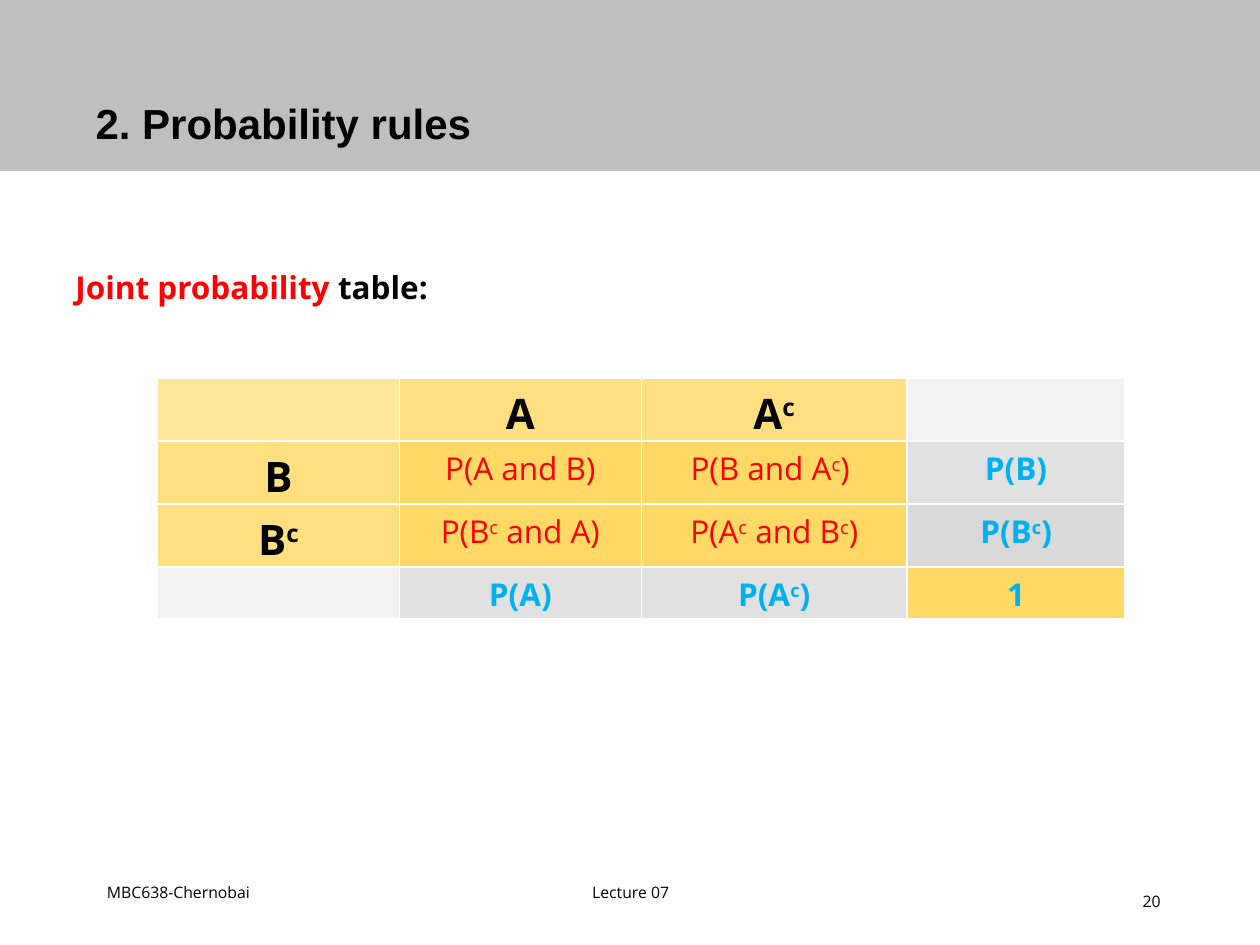
from pptx import Presentation
from pptx.dml.color import RGBColor
from pptx.enum.shapes import MSO_SHAPE
from pptx.enum.text import MSO_ANCHOR, PP_ALIGN
from pptx.oxml.ns import qn
from pptx.util import Inches, Pt
from lxml import etree

COLORS = {
    "black": "000000", "red": "FF0000", "blue": "00B0F0", "band": "BFBFBF",
    "corner": "FFE699", "header": "FFC000", "joint": "FFD966",
    "empty": "F2F2F2", "marginal": "E1E1E1", "marginal_dark": "D9D9D9",
}


def color(name):
    return RGBColor.from_string(COLORS[name])


def add_text(box, runs, size, font="Open Sans", bold=False,
             align=PP_ALIGN.LEFT, anchor=MSO_ANCHOR.MIDDLE):
    """Add a one-paragraph text box; runs are (text, color name) pairs."""
    shape = slide.shapes.add_textbox(*map(Inches, box))
    frame = shape.text_frame
    frame.word_wrap = True
    frame.vertical_anchor = anchor
    paragraph = frame.paragraphs[0]
    paragraph.alignment = align
    paragraph.font.name, paragraph.font.size = font, Pt(size)
    paragraph.font.bold = bold
    for text, name in runs:
        run = paragraph.add_run()
        run.text = text
        run.font.color.rgb = color(name)
    return paragraph


presentation = Presentation()
presentation.slide_width, presentation.slide_height = Inches(10), Inches(7.5)
slide = presentation.slides.add_slide(presentation.slide_layouts[6])

# Footer
add_text((0.75, 6.83, 2.08, 0.5), [("MBC638-Chernobai", "black")], 9)
add_text((3.42, 6.83, 3.17, 0.5), [("Lecture 07", "black")], 9,
         align=PP_ALIGN.CENTER)
add_text((7.06, 6.95, 2.25, 0.4), [("20", "black")], 9, align=PP_ALIGN.RIGHT)

add_text((0.5, 2.08, 9.17, 0.76),
         [("Joint probability ", "red"), ("table:", "black")], 18,
         bold=True, anchor=MSO_ANCHOR.TOP)

# Joint probability table: "^" raises the letter after it
STYLES = {  # fill: (text color, size, bold)
    "header": ("black", 24, True),
    "joint": ("red", 18, False),
    "marginal": ("blue", 18, True),
    "marginal_dark": ("blue", 18, True),
    "total": ("blue", 18, True),
}
ROWS = [
    [("", "corner"), ("A", "header"), ("A^c", "header"), ("", "empty")],
    [("B", "header"), ("P(A and B)", "joint"), ("P(B and A^c) ", "joint"),
     ("P(B)", "marginal")],
    [("B^c", "header"), ("P(B^c and A)", "joint"),
     ("P(A^c and B^c)", "joint"), ("P(B^c)", "marginal_dark")],
    [("", "empty"), ("P(A)", "marginal"), ("P(A^c)", "marginal"),
     ("1", "total")],
]
table = slide.shapes.add_table(4, 4, Inches(1.25), Inches(3),
                               Inches(7.68), Inches(1.91)).table
for column, width in zip(table.columns, (1.92, 1.92, 2.11, 1.73)):
    column.width = Inches(width)
for row, height in zip(table.rows, (0.5, 0.5, 0.5, 0.41)):
    row.height = Inches(height)

for row, entries in zip(table.rows, ROWS):
    for cell, (text, kind) in zip(row.cells, entries):
        cell.fill.solid()
        cell.fill.fore_color.rgb = color("joint" if kind == "total" else kind)
        if kind == "header":
            fill_color = cell.fill._xPr.find(".//" + qn("a:srgbClr"))
            etree.SubElement(fill_color, qn("a:alpha"), val="50000")
        if not text:
            continue
        cell.margin_bottom = 0  # keeps the tall font within the row height
        paragraph = cell.text_frame.paragraphs[0]
        paragraph.alignment = PP_ALIGN.CENTER
        font = paragraph.font
        text_color, size, font.bold = STYLES[kind]
        font.name, font.size = "Open Sans", Pt(size)
        font.color.rgb = color(text_color)
        first, *raised = text.split("^")
        parts = [(first, False)]
        for piece in raised:
            parts += [(piece[0], True), (piece[1:], False)]
        for part, is_raised in parts:
            if part:
                run = paragraph.add_run()
                run.text = part
                if is_raised:
                    run.font._element.set("baseline", "30000")

# Title band
band = slide.shapes.add_shape(MSO_SHAPE.RECTANGLE, 0, 0, Inches(10), Inches(1.36))
band.shadow.inherit = False
band.fill.solid()
band.fill.fore_color.rgb = color("band")
band.line.fill.background()
title = add_text((0.66, 0.27, 8.62, 1.45), [("2. Probability rules", "black")],
                 24, font="Arial", bold=True)
title.line_spacing = 0.9

presentation.save("out.pptx")
